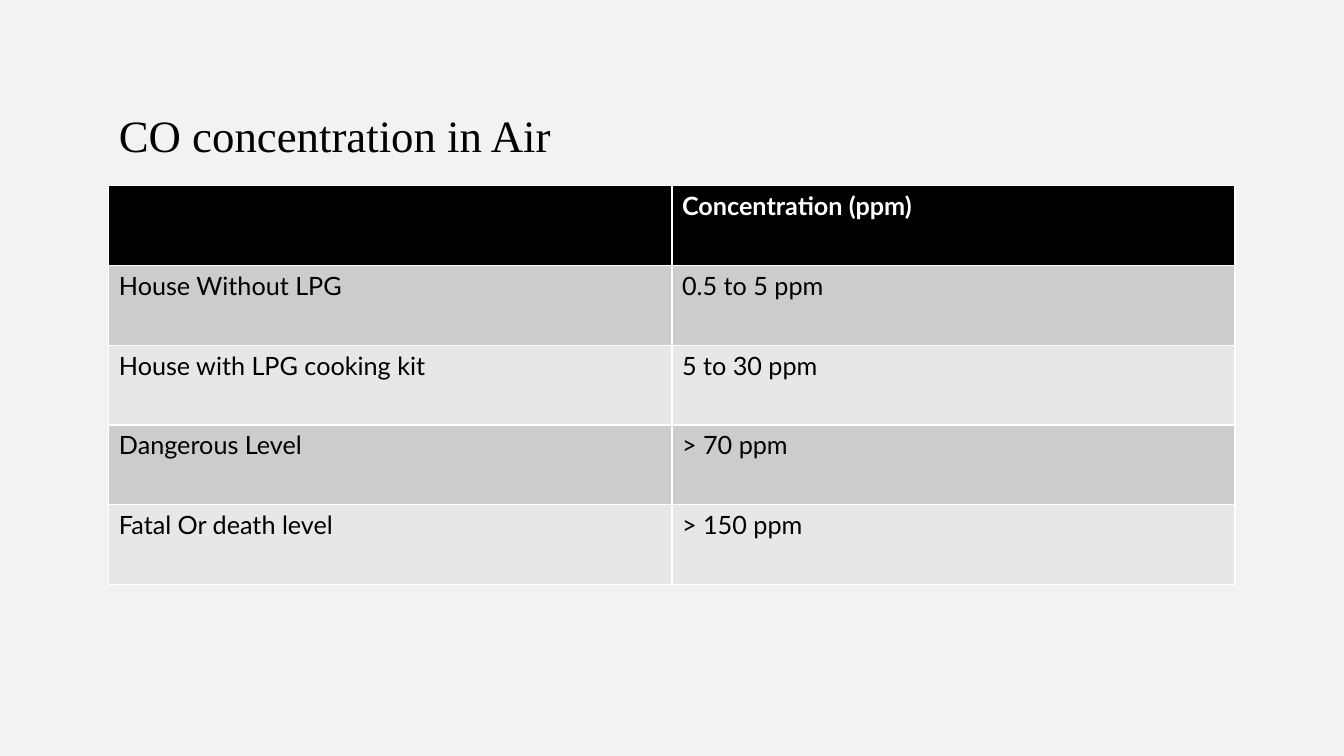
from pptx import Presentation
from pptx.dml.color import RGBColor
from pptx.enum.text import MSO_ANCHOR
from pptx.util import Inches, Pt

BACKGROUND = RGBColor(0xF0, 0xF3, 0xF1)
BLACK = RGBColor(0x00, 0x00, 0x00)
WHITE = RGBColor(0xFF, 0xFF, 0xFF)
BANDS = [RGBColor(0xE7, 0xE7, 0xE7), RGBColor(0xCC, 0xCC, 0xCC)]

LEFT, WIDTH = Inches(1.08), Inches(11.17)
ROWS = [
    ("", "Concentration (ppm)"),
    ("House Without LPG", "0.5 to 5 ppm"),
    ("House with LPG cooking kit", "5 to 30 ppm"),
    ("Dangerous Level", "> 70 ppm"),
    ("Fatal Or death level", "> 150 ppm"),
]


def style_runs(tf, font, size, color, bold=False):
    for p in tf.paragraphs:
        for r in p.runs:
            r.font.name = font
            r.font.size = Pt(size)
            r.font.color.rgb = color
            r.font.bold = bold


prs = Presentation()
prs.slide_width, prs.slide_height = Inches(13.33), Inches(7.5)
s = prs.slides.add_slide(prs.slide_layouts[6])
s.background.fill.solid()
s.background.fill.fore_color.rgb = BACKGROUND

# Title
tf = s.shapes.add_textbox(LEFT, Inches(0.43), WIDTH, Inches(1.22)).text_frame
tf.word_wrap = True
tf.vertical_anchor = MSO_ANCHOR.BOTTOM
tf.text = "CO concentration in Air"
style_runs(tf, "Times New Roman", 32, BLACK)

# Concentration table; the default table style draws the white borders
table = s.shapes.add_table(len(ROWS), 2, LEFT, Inches(1.84), WIDTH, Inches(3.96)).table
for i, row in enumerate(ROWS):
    header = i == 0
    for j, text in enumerate(row):
        cell = table.cell(i, j)
        cell.fill.solid()
        cell.fill.fore_color.rgb = BLACK if header else BANDS[i % 2]
        cell.text_frame.text = text
        style_runs(cell.text_frame, "Lato", 18, WHITE if header else BLACK, header)

prs.save("out.pptx")
